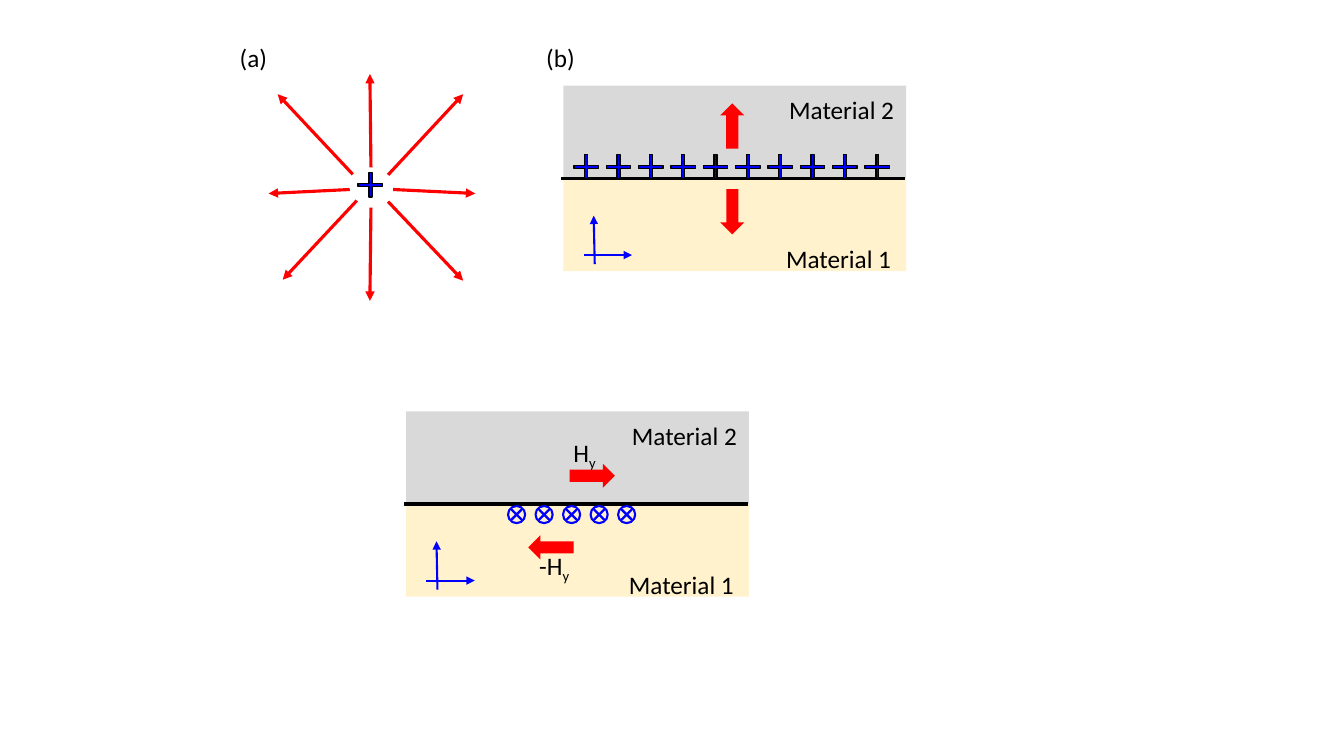
import pptx
import pptx.dml.color
import pptx.enum.shapes
import pptx.enum.text
import pptx.util
from lxml import etree

SHAPE = pptx.enum.shapes.MSO_SHAPE
COLORS = {"charge": "0000FF", "field": "FF0000", "ink": "000000",
          "upper": "D9D9D9", "lower": "FFF2CC"}
CELLS_PER_INCH = 10  # the slide grid has 133.3 columns and 75 rows


def cells(count):
    return pptx.util.Inches(count / CELLS_PER_INCH)


def color(name):
    return pptx.dml.color.RGBColor.from_string(COLORS[name])


def add_shape(slide, kind, left, top, width, height, fill=None,
              line=None, line_width=1, rotation=0, adjustment=None):
    shape = slide.shapes.add_shape(kind, cells(left), cells(top), cells(width), cells(height))
    shape.shadow.inherit = False
    shape.rotation = rotation
    if adjustment is not None:
        shape.adjustments[0] = adjustment
    if fill:
        shape.fill.solid()
        shape.fill.fore_color.rgb = color(fill)
    else:
        shape.fill.background()
    if line:
        shape.line.color.rgb = color(line)
        shape.line.width = pptx.util.Pt(line_width)
    else:
        shape.line.fill.background()


def add_line(slide, start, end, line, width, arrow=True):
    connector = slide.shapes.add_connector(
        pptx.enum.shapes.MSO_CONNECTOR.STRAIGHT, *map(cells, (*start, *end)))
    connector.line.color.rgb = color(line)
    connector.line.width = pptx.util.Pt(width)
    if arrow:
        etree.SubElement(connector.line._get_or_add_ln(),
                         pptx.oxml.ns.qn("a:tailEnd"), type="triangle")
    etree.SubElement(connector._element.spPr, pptx.oxml.ns.qn("a:effectLst"))


def add_label(slide, left, top, width, text, subscript=""):
    box = slide.shapes.add_textbox(cells(left), cells(top), cells(width), cells(4))
    box.text_frame.word_wrap = False
    paragraph = box.text_frame.paragraphs[0]
    paragraph.font.name = "Calibri"
    paragraph.font.size = pptx.util.Pt(18)
    paragraph.font.color.rgb = color("ink")
    paragraph.add_run().text = text
    if subscript:
        run = paragraph.add_run()
        run.text = subscript
        run._r.get_or_add_rPr().set("baseline", "-25000")


def add_plus(slide, left, top):
    add_shape(slide, SHAPE.MATH_PLUS, left, top, 3.3, 3.3, "charge", "ink", adjustment=0.09)


def add_field_arrow(slide, left, top, rotation):
    add_shape(slide, SHAPE.RIGHT_ARROW, left, top, 4.5, 2.4, "field", rotation=rotation)


def add_point_charge(slide, left, top):
    center_x, center_y = left + 13.95, top + 14.65
    add_plus(slide, center_x - 1.65, center_y - 1.65)

    # Field lines: start and end offsets from the charge
    rays = [((-1.75, -1.05), (-9.2, -9)), ((1.75, -1), (9.2, -9)),
            ((-1.35, 1.55), (-8.7, 9.4)), ((1.75, 1.65), (9.2, 9.5)),
            ((0.05, -1.75), (-0.05, -11)), ((0.05, 2.25), (-0.05, 11.5)),
            ((2.25, 0.45), (10.4, 0.85)), ((-2.05, 0.45), (-10.1, 0.85))]
    for start, end in rays:
        add_line(slide, (center_x + start[0], center_y + start[1]),
                 (center_x + end[0], center_y + end[1]), "field", 2.25)


def add_interface(slide, left, top, width=34, height=18.4):
    # Two materials and their boundary
    middle = top + height / 2
    add_shape(slide, SHAPE.RECTANGLE, left, middle, width, height / 2, "lower")
    add_shape(slide, SHAPE.RECTANGLE, left, top, width, height / 2, "upper")
    add_line(slide, (left - 0.2, middle), (left + width - 0.1, middle), "ink", 2.25, False)
    add_label(slide, left + 21.4, top + 0.4, 12.5, "Material 2")
    add_label(slide, left + 21.1, top + 15.15, 12.5, "Material 1")

    # Coordinate axes
    add_line(slide, (left + 2, top + 16.8), (left + 6.8, top + 16.8), "charge", 1.5)
    add_line(slide, (left + 3.1, top + 17.7), (left + 3, top + 12.9), "charge", 1.5)


def add_surface_charge(slide, left, top):
    add_interface(slide, left, top)
    add_field_arrow(slide, left + 14.5, top + 2.8, 270)
    add_field_arrow(slide, left + 14.5, top + 11.3, 90)
    for index in range(10):
        add_plus(slide, left + 0.6 + 3.21 * index, top + 6.4)


def add_surface_current(slide, left, top):
    add_interface(slide, left, top)
    add_label(slide, left + 15.6, top + 2.1, 4.4, "H", "y")
    add_label(slide, left + 12.2, top + 13.3, 5.1, "-H", "y")
    add_field_arrow(slide, left + 12.1, top + 12.3, 180)
    add_field_arrow(slide, left + 16.2, top + 5.2, 0)

    # Currents flowing into the page
    for index in range(5):
        current_left = left + 10 + 2.73 * index
        add_shape(slide, SHAPE.MATH_MULTIPLY, current_left, top + 9.3, 1.9, 1.9,
                  "charge", "charge", adjustment=0.05)
        add_shape(slide, SHAPE.OVAL, current_left + 0.1, top + 9.4, 1.7, 1.7,
                  line="charge", line_width=1.5)


def main():
    presentation = pptx.Presentation()
    presentation.slide_width = cells(133.33)
    presentation.slide_height = cells(75)
    slide = presentation.slides.add_slide(presentation.slide_layouts[6])

    add_surface_charge(slide, 55.9, 8.5)
    add_point_charge(slide, 22.8, 3.7)
    add_label(slide, 22.8, 3.7, 4.8, "(a)")
    add_label(slide, 53.2, 3.7, 4.9, "(b)")
    add_surface_current(slide, 40.3, 40.8)
    presentation.save("out.pptx")


if __name__ == "__main__":
    main()
